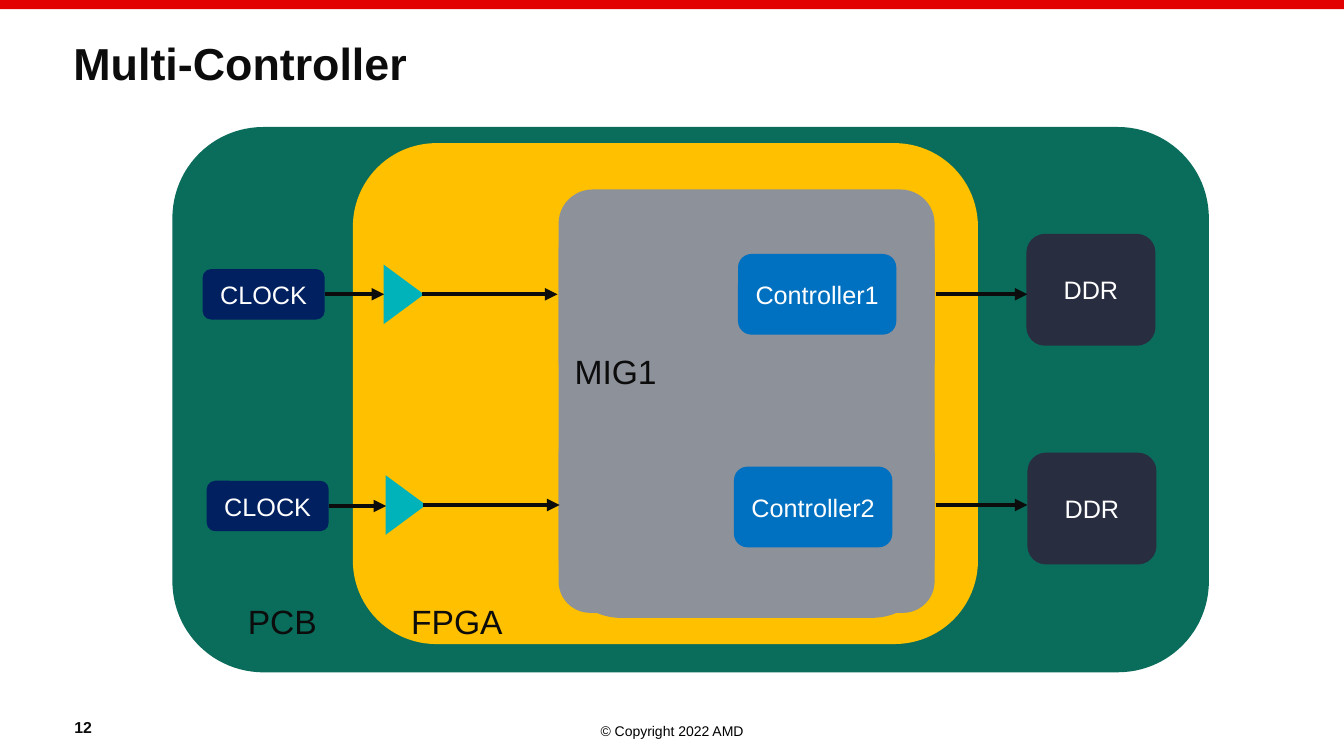
from lxml import etree
from pptx import Presentation
from pptx.dml.color import RGBColor
from pptx.enum import shapes, text
from pptx.oxml import ns
from pptx.util import Inches, Pt

INK, WHITE = "0C0C0C", "FFFFFF"
ROUNDED = shapes.MSO_SHAPE.ROUNDED_RECTANGLE
LEFT, CENTER = text.PP_ALIGN.LEFT, text.PP_ALIGN.CENTER
TOP, MIDDLE, BOTTOM = text.MSO_ANCHOR.TOP, text.MSO_ANCHOR.MIDDLE, text.MSO_ANCHOR.BOTTOM

deck = Presentation()
deck.slide_width, deck.slide_height = Inches(13.33), Inches(7.5)
slide = deck.slides.add_slide(deck.slide_layouts[6])


def color(value):
    return RGBColor.from_string(value)


def write(target, words, size, ink, bold=False, align=LEFT, anchor=TOP):
    frame = target.text_frame
    frame.text = words
    frame.word_wrap = True
    frame.vertical_anchor = anchor
    paragraph = frame.paragraphs[0]
    paragraph.alignment = align
    font = paragraph.runs[0].font
    font.name, font.size, font.bold = "Arial", Pt(size), bold
    font.color.rgb = color(ink)


# Blocks from back to front: preset, left, top, width, height, fill, label
blocks = [
    (shapes.MSO_SHAPE.RECTANGLE, 0, 0, 13.33, 0.09, "E20000", ""),
    (ROUNDED, 1.71, 1.26, 10.28, 5.41, "0A6C5B", ""),
    (ROUNDED, 3.5, 1.42, 6.2, 4.97, "FFC000", ""),
    (ROUNDED, 5.54, 1.88, 3.73, 2.03, "8D919A", ""),
    (ROUNDED, 5.54, 4.2, 3.73, 1.88, "8D919A", ""),
    (ROUNDED, 5.54, 1.89, 3.73, 4.24, "8D919A", ""),
    (ROUNDED, 2.01, 2.67, 1.21, 0.5, "002060", "CLOCK"),
    (ROUNDED, 2.05, 4.77, 1.21, 0.5, "002060", "CLOCK"),
    (shapes.MSO_SHAPE.ISOSCELES_TRIANGLE, 3.71, 2.72, 0.59, 0.4, "00B2BA", ""),
    (shapes.MSO_SHAPE.ISOSCELES_TRIANGLE, 3.73, 4.81, 0.59, 0.4, "00B2BA", ""),
    (ROUNDED, 10.18, 2.32, 1.28, 1.11, "282D3F", "DDR"),
    (ROUNDED, 10.19, 4.49, 1.28, 1.11, "282D3F", "DDR"),
    (ROUNDED, 7.32, 2.52, 1.57, 0.8, "0070C0", "Controller1"),
    (ROUNDED, 7.28, 4.63, 1.57, 0.8, "0070C0", "Controller2"),
]
clocks = []
for preset, left, top, width, height, fill, label in blocks:
    block = slide.shapes.add_shape(preset, Inches(left), Inches(top), Inches(width), Inches(height))
    block.shadow.inherit = False
    block.fill.solid()
    block.fill.fore_color.rgb = color(fill)
    block.line.fill.background()
    if preset == shapes.MSO_SHAPE.ISOSCELES_TRIANGLE:
        block.rotation = 90
    if label:
        write(block, label, 18, WHITE, align=CENTER, anchor=MIDDLE)
    if label == "CLOCK":
        clocks.append(block)

# Signal arrows: clock to buffer, buffer to MIG, MIG to memory
signals = [
    (2.92, [(3.22, 3.81), (4.19, 5.53), (9.28, 10.19)]),
    (5.01, [(3.24, 3.83), (4.2, 5.55), (9.28, 10.19)]),
]
for clock, (y, spans) in zip(clocks, signals):
    for step, (start, end) in enumerate(spans):
        arrow = slide.shapes.add_connector(
            shapes.MSO_CONNECTOR.STRAIGHT, Inches(start), Inches(y), Inches(end), Inches(y))
        if step == 0:
            arrow.begin_connect(clock, 3)
            arrow.end_y = arrow.begin_y
        arrow.line.color.rgb = color(INK)
        arrow.line.width = Pt(3)
        etree.SubElement(arrow.line._get_or_add_ln(), ns.qn("a:tailEnd"), type="triangle")
        etree.SubElement(arrow._element.spPr, ns.qn("a:effectLst"))

# Title, region names, page number and copyright line
captions = [
    ("Multi-Controller", 0.63, 0.33, 12.07, 0.64, 32, INK, True, LEFT, MIDDLE),
    ("PCB", 2.36, 5.91, 1.57, 0.5, 24, INK, False, LEFT, TOP),
    ("FPGA", 3.98, 5.91, 1.57, 0.5, 24, INK, False, LEFT, TOP),
    ("MIG1", 5.6, 3.43, 1.57, 0.5, 24, INK, False, LEFT, TOP),
    ("12", 0.64, 6.96, 1.07, 0.4, 11.3, INK, True, LEFT, BOTTOM),
    ("© Copyright 2022 AMD", 0, 7.12, 13.33, 0.27, 10, "000000", False, CENTER, TOP),
]
for words, left, top, width, height, *style in captions:
    caption = slide.shapes.add_textbox(Inches(left), Inches(top), Inches(width), Inches(height))
    write(caption, words, *style)
    if words == "Multi-Controller":
        caption.text_frame.paragraphs[0].line_spacing = 0.9

deck.save("out.pptx")
